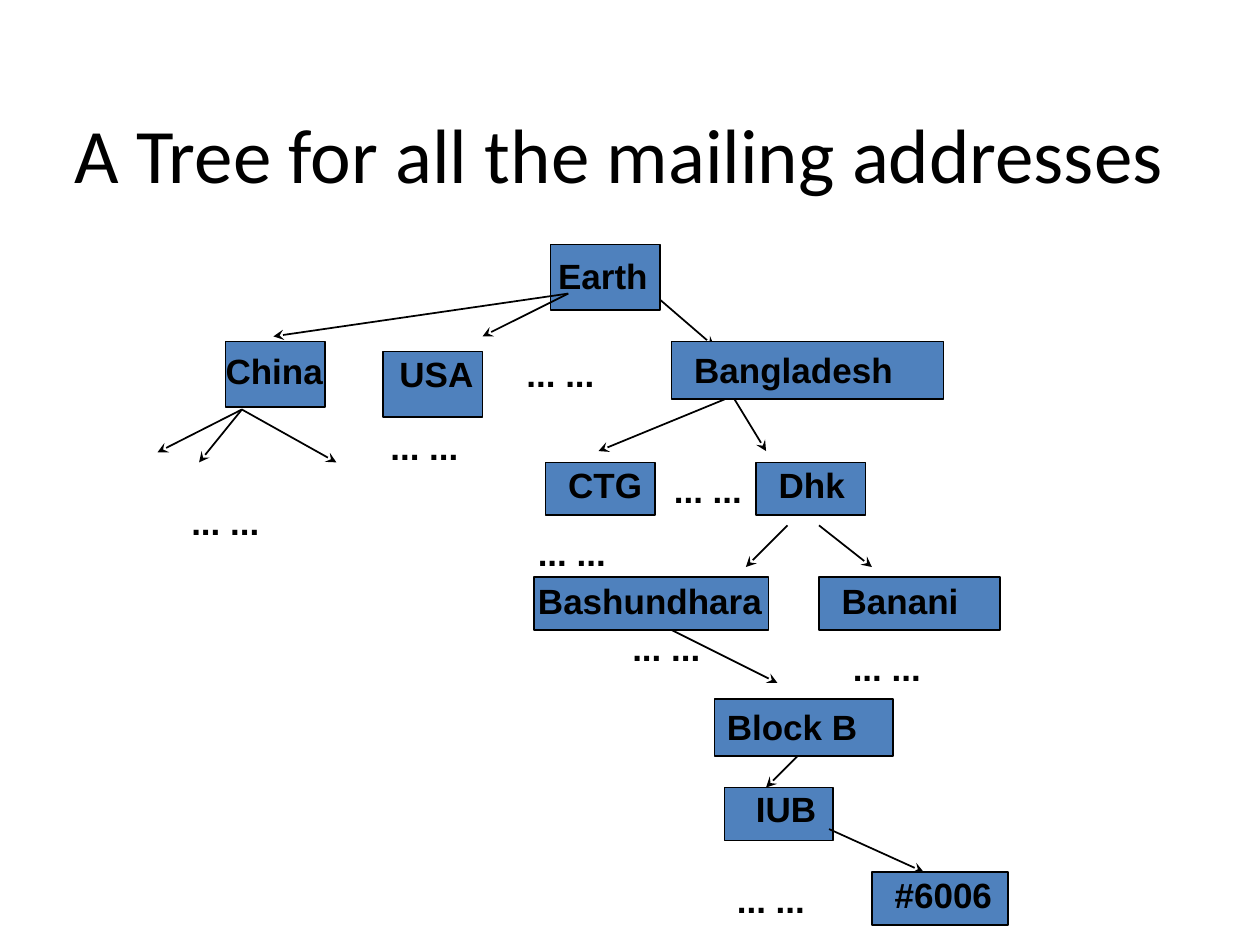
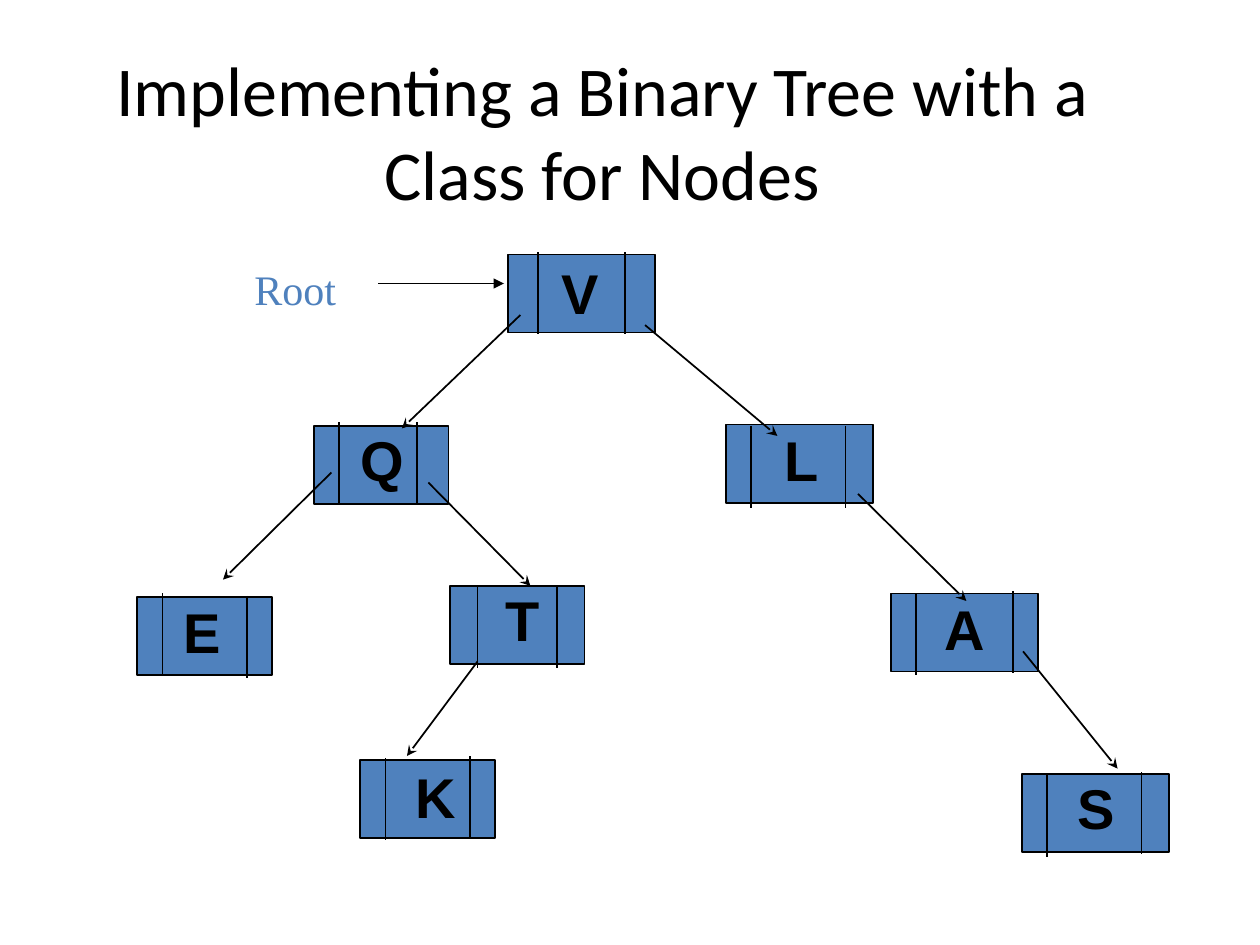
import pptx
import pptx.dml.color
import pptx.enum.shapes
import pptx.enum.text
import pptx.oxml.ns
import pptx.util
from lxml import etree
from pptx.util import Inches

BLACK = "000000"
BLUE = "4F81BD"

# Slide 1: (label, box, label offset, arrow start and arrow tips)
ADDRESS_TITLE = "A Tree for all the mailing addresses"
ADDRESS_NODES = [
    ("Earth", (4.37, 1.94, 0.87, 0.52), (0.06, 0.08),
     [((4.51, 2.33), (2.17, 2.67)), ((4.51, 2.33), (3.83, 2.67)),
      ((5.24, 2.38), (5.67, 2.75))]),
    ("China", (1.79, 2.71, 0.79, 0.52), (0, 0.06),
     [((1.92, 3.25), (1.25, 3.59)), ((1.92, 3.25), (1.58, 3.67)),
      ((1.92, 3.25), (2.67, 3.67))]),
    ("USA", (3.04, 2.79, 0.79, 0.52), (0.13, 0.01), []),
    ("Bangladesh", (5.33, 2.71, 2.16, 0.46), (0.18, 0.06),
     [((5.75, 3.17), (4.75, 3.58)), ((5.83, 3.17), (6.08, 3.58))]),
    ("CTG", (4.33, 3.67, 0.87, 0.42), (0.18, 0.01), []),
    ("Dhk", (6, 3.67, 0.87, 0.42), (0.18, 0.01),
     [((6.25, 4.17), (5.92, 4.5)), ((6.5, 4.17), (6.92, 4.5))]),
    ("Bashundhara", (4.24, 4.58, 1.86, 0.42), (0.03, 0.02),
     [((5.33, 5), (6.17, 5.42))]),
    ("Banani", (6.5, 4.58, 1.44, 0.42), (0.18, 0.02), []),
    ("Block B", (5.67, 5.55, 1.42, 0.45), (0.1, 0.05),
     [((6.33, 6), (6.08, 6.25))]),
    ("IUB", (5.75, 6.25, 0.86, 0.42), (0.25, 0),
     [((6.58, 6.58), (7.33, 6.92))]),
    ("#6006", (6.92, 6.92, 1.08, 0.42), (0.18, 0.01), []),
]
ELLIPSIS_PLACES = [(4.08, 2.75), (3, 3.33), (1.42, 3.92), (5.25, 3.67),
                   (4.17, 4.17), (4.92, 4.92), (6.67, 5.08), (5.75, 6.92)]

# Slide 2: (letter, box left, top and width, letter offset, divider tops)
BINARY_TITLE = "Implementing a Binary Tree with a Class for Nodes"
BINARY_NODES = [
    ("V", (4.03, 2.02, 1.17), (0.43, 0.03), [(4.27, 2), (4.96, 2)]),
    ("Q", (2.49, 3.38, 1.07), (0.37, 0), [(2.69, 3.35), (3.31, 3.35)]),
    ("L", (5.76, 3.37, 1.17), (0.47, 0.01), [(5.96, 3.38), (6.71, 3.38)]),
    ("E", (1.09, 4.74, 1.07), (0.37, 0), [(1.29, 4.71), (1.96, 4.73)]),
    ("T", (3.57, 4.65, 1.07), (0.44, 0), [(3.79, 4.65), (4.42, 4.65)]),
    ("A", (7.07, 4.71, 1.17), (0.43, 0.01), [(7.27, 4.71), (8.04, 4.69)]),
    ("K", (2.86, 6.03, 1.07), (0.44, 0.02), [(3.06, 6.02), (3.73, 6)]),
    ("S", (8.11, 6.14, 1.17), (0.44, 0), [(8.31, 6.15), (9.06, 6.13)]),
]
BINARY_LINKS = [
    ((4.13, 2.5), (3.19, 3.4)), ((5.12, 2.58), (6.17, 3.46)),
    ((2.63, 3.75), (1.77, 4.6)), ((3.4, 3.83), (4.21, 4.65)),
    ((6.81, 3.92), (7.67, 4.77)), ((3.79, 5.25), (3.23, 6)),
    ((8.12, 5.17), (8.87, 6.1)),
]
NODE_HEIGHT = 0.62
DIVIDER_LENGTH = 0.65


def color(value):
    return pptx.dml.color.RGBColor.from_string(value)


def write_text(shape, text, size=20, font="Arial", bold=False, fill=BLACK,
               align="LEFT", anchor="TOP", insets=(0.1, 0.05, 0.1, 0.05)):
    frame = shape.text_frame
    frame.word_wrap = True
    frame.vertical_anchor = getattr(pptx.enum.text.MSO_ANCHOR, anchor)
    (frame.margin_left, frame.margin_top,
     frame.margin_right, frame.margin_bottom) = map(Inches, insets)
    paragraph = frame.paragraphs[0]
    paragraph.alignment = getattr(pptx.enum.text.PP_ALIGN, align)
    run = paragraph.add_run()
    run.text = text
    run.font.size = pptx.util.Pt(size)
    run.font.name = font
    run.font.bold = bold
    run.font.color.rgb = color(fill)


def add_text(slide, text, box, **text_format):
    write_text(slide.shapes.add_textbox(*map(Inches, box)), text, **text_format)


def add_title(slide, text, box, size):
    add_text(slide, text, box, size=size, font="Calibri", align="CENTER",
             anchor="BOTTOM")


def add_node(slide, text, box, offset, size=20):
    shape = slide.shapes.add_shape(
        pptx.enum.shapes.MSO_SHAPE.RECTANGLE, *map(Inches, box))
    shape.shadow.inherit = False
    shape.fill.solid()
    shape.fill.fore_color.rgb = color(BLUE)
    shape.line.color.rgb = color(BLACK)
    shape.line.width = pptx.util.Pt(1)
    write_text(shape, text, size=size, bold=True, insets=(*offset, 0, 0))


def add_line(slide, start, end, arrowhead=None):
    line = slide.shapes.add_connector(
        pptx.enum.shapes.MSO_CONNECTOR.STRAIGHT, *map(Inches, (*start, *end)))
    line.line.color.rgb = color(BLACK)
    line.line.width = pptx.util.Pt(1)
    properties = line._element.spPr
    if arrowhead:
        etree.SubElement(properties.find(pptx.oxml.ns.qn("a:ln")),
                         pptx.oxml.ns.qn("a:tailEnd"), type=arrowhead)
    etree.SubElement(properties, pptx.oxml.ns.qn("a:effectLst"))


def build_address_slide(slide):
    add_title(slide, ADDRESS_TITLE, (0.33, 0.67, 9.17, 0.96), 44)
    # Each box is followed by its arrows, so later boxes cover the tips
    for label, box, offset, arrows in ADDRESS_NODES:
        add_node(slide, label, box, offset)
        for start, tip in arrows:
            add_line(slide, start, tip, "stealth")
    for place in ELLIPSIS_PLACES:
        add_text(slide, "... ...", (*place, 1, 0.43), bold=True)


def build_binary_slide(slide):
    add_title(slide, BINARY_TITLE, (0.33, 0.5, 8.9, 1.25), 40)
    # Nodes with their pointer cells
    for letter, box, offset, dividers in BINARY_NODES:
        add_node(slide, letter, (*box, NODE_HEIGHT), offset, size=32)
        for x, top in dividers:
            add_line(slide, (x, top), (x, top + DIVIDER_LENGTH))
    for start, tip in BINARY_LINKS:
        add_line(slide, start, tip, "stealth")
    # Root pointer
    add_text(slide, "Root", (1.92, 2.04, 1.08, 0.5), size=24,
             font="Times New Roman", fill=BLUE)
    add_line(slide, (3, 2.25), (4, 2.25), "triangle")


def main():
    presentation = pptx.Presentation()
    presentation.slide_width = Inches(10)
    presentation.slide_height = Inches(7.5)
    blank = presentation.slide_layouts[6]
    for build in (build_address_slide, build_binary_slide):
        build(presentation.slides.add_slide(blank))
    presentation.save("out.pptx")


if __name__ == "__main__":
    main()
